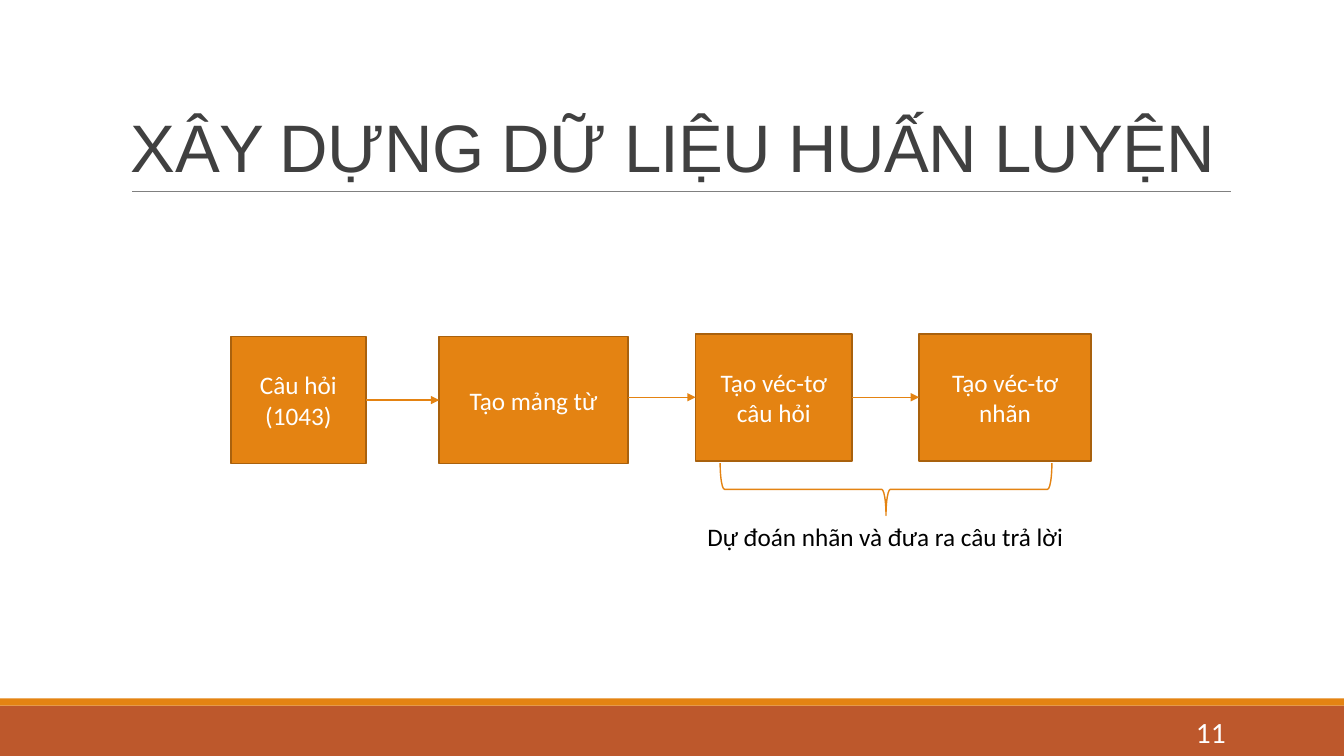
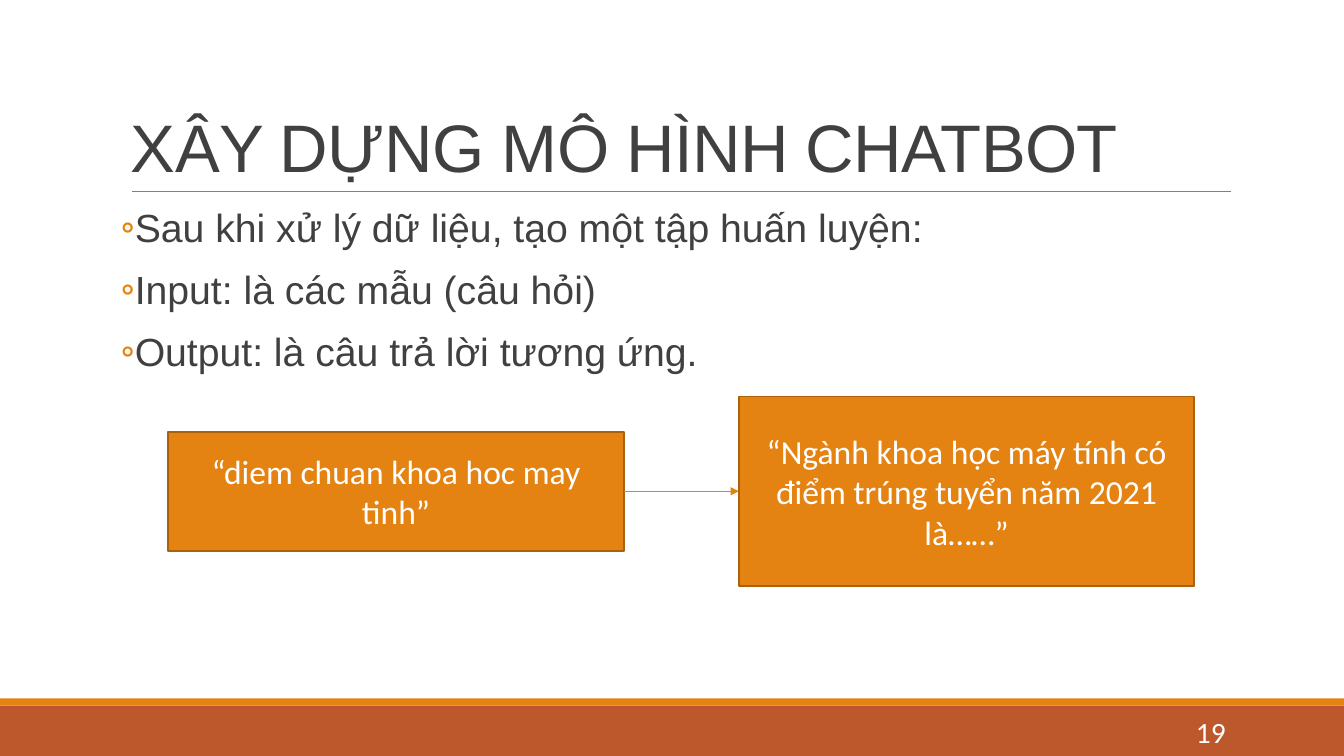
from lxml import etree
from pptx import Presentation
from pptx import util as u
from pptx.dml.color import RGBColor
from pptx.enum import shapes, text
from pptx.oxml import ns

Cm, Pt = u.Cm, u.Pt
ALIGN, ANCHOR = text.PP_ALIGN, text.MSO_ANCHOR


def color(value):
    return RGBColor.from_string(value)


def add_xml(parent, tag, **attributes):
    return etree.SubElement(parent, ns.qn(tag), attributes)


def write(frame, lines, size=18, font="Calibri", ink="000000", align=ALIGN.LEFT,
          anchor=ANCHOR.TOP, leading=None, before=0, after=0, spacing=None,
          bullet=None, bullet_ink=None, inset=0.25):
    frame.word_wrap = True
    frame.auto_size = text.MSO_AUTO_SIZE.NONE
    frame.vertical_anchor = anchor
    frame.margin_left = frame.margin_right = Cm(inset)
    for number, line in enumerate(lines):
        paragraph = frame.add_paragraph() if number else frame.paragraphs[0]
        paragraph.alignment = align
        if leading:
            paragraph.line_spacing = leading
        paragraph.space_before = Pt(before if number else 0)
        paragraph.space_after = Pt(after)
        if bullet:
            properties = paragraph._p.get_or_add_pPr()
            properties.set("marL", str(Cm(0.25)))
            properties.set("indent", str(-Cm(0.51)))
            add_xml(add_xml(properties, "a:buClr"), "a:srgbClr", val=bullet_ink)
            add_xml(properties, "a:buFont", typeface="Calibri")
            add_xml(properties, "a:buChar", char=bullet)
        run = paragraph.add_run()
        run.text = line
        run.font.name = font
        run.font.size = Pt(size)
        run.font.color.rgb = color(ink)
        if spacing is not None:
            run._r.get_or_add_rPr().set("spc", str(round(spacing * 100)))


class Deck:
    ACCENT, EDGE, BAND = "E48312", "A9610D", "BD582C"
    INK, RULE, LIGHT = "404040", "808080", "FFFFFF"
    WIDTH, HEIGHT = 33.87, 19.05

    def __init__(self):
        self.presentation = Presentation()
        self.presentation.slide_width = Cm(self.WIDTH)
        self.presentation.slide_height = Cm(self.HEIGHT)
        self.slide = None

    def new_slide(self, heading, page):
        self.slide = self.presentation.slides.add_slide(self.presentation.slide_layouts[5])
        title = self.slide.shapes.title
        title.left, title.top = Cm(3.05), Cm(0.79)
        title.width, title.height = Cm(27.94), Cm(4.04)
        write(title.text_frame, [heading], size=48, font="Arial", ink=self.INK,
              anchor=ANCHOR.BOTTOM, leading=0.85, spacing=-0.5)
        self.shape(0, 17.78, self.WIDTH, 1.27, fill=self.BAND)
        self.shape(0, 17.6, self.WIDTH, 0.18, fill=self.ACCENT)
        self.line((3.33, 4.83), (31.01, 4.83), self.RULE, 0.5)
        self.label([page], 27.51, 17.93, 3.63, 1.02, size=21, ink=self.LIGHT,
                   align=ALIGN.RIGHT, anchor=ANCHOR.MIDDLE)

    def shape(self, left, top, width, height, fill=None, edge=None, weight=1.25,
              kind=shapes.MSO_SHAPE.RECTANGLE):
        item = self.slide.shapes.add_shape(kind, Cm(left), Cm(top), Cm(width), Cm(height))
        item.shadow.inherit = False
        if fill:
            item.fill.solid()
            item.fill.fore_color.rgb = color(fill)
        else:
            item.fill.background()
        if edge:
            item.line.color.rgb = color(edge)
            item.line.width = Pt(weight)
        else:
            item.line.fill.background()
        return item

    def step(self, lines, left, top, width, height, size=18):
        item = self.shape(left, top, width, height, self.ACCENT, self.EDGE)
        write(item.text_frame, lines, size=size, ink=self.LIGHT,
              align=ALIGN.CENTER, anchor=ANCHOR.MIDDLE)
        return item

    def brace(self, left, top, width, height):
        self.shape(left, top, width, height, edge=self.ACCENT, weight=1,
                   kind=shapes.MSO_SHAPE.LEFT_BRACE).rotation = 270

    def label(self, lines, left, top, width, height, **style):
        box = self.slide.shapes.add_textbox(Cm(left), Cm(top), Cm(width), Cm(height))
        write(box.text_frame, lines, **style)

    def bullets(self, lines, left, top, width, height):
        self.label(lines, left, top, width, height, size=28, font="Arial", ink=self.INK,
                   leading=0.9, before=12, after=2, bullet="◦",
                   bullet_ink=self.ACCENT, inset=0)

    def line(self, start, end, ink, weight):
        connector = self.slide.shapes.add_connector(
            shapes.MSO_CONNECTOR.STRAIGHT, *map(Cm, start + end))
        connector.line.color.rgb = color(ink)
        connector.line.width = Pt(weight)
        add_xml(connector._element.spPr, "a:effectLst")
        return connector

    def arrow(self, source, target, start=None):
        connector = self.line(start or (0, 0), (0, 0), self.ACCENT, 1)
        if start is None:
            connector.begin_connect(source, 3)
        connector.end_connect(target, 1)
        add_xml(connector.line._get_or_add_ln(), "a:tailEnd", type="triangle")


def training_data(deck):
    deck.new_slide("XÂY DỰNG DỮ LIỆU HUẤN LUYỆN", "11")
    height = 3.2
    questions = deck.step(["Câu hỏi", "(1043)"], 5.82, 8.48, 3.4, height)
    words = deck.step(["Tạo mảng từ"], 11.07, 8.48, 4.75, height)
    question_vector = deck.step(["Tạo véc-tơ câu hỏi"], 17.53, 8.41, 3.94, height)
    label_vector = deck.step(["Tạo véc-tơ nhãn"], 23.16, 8.41, 4.34, height)
    deck.arrow(questions, words)
    deck.arrow(words, question_vector, start=(15.82, 10.01))
    deck.arrow(question_vector, label_vector)
    deck.brace(21.67, 8.15, 1.32, 8.36)
    deck.label(["Dự đoán nhãn và đưa ra câu trả lời"], 17.32, 13, 9.98, 1.02,
               align=ALIGN.CENTER)


def chatbot_model(deck):
    deck.new_slide("XÂY DỰNG MÔ HÌNH CHATBOT", "19")
    deck.bullets(["Sau khi xử lý dữ liệu, tạo một tập huấn luyện:",
                  "Input: là các mẫu (câu hỏi)",
                  "Output: là câu trả lời tương ứng."], 3.05, 5.13, 27.94, 11.18)
    question = deck.step(["“diem chuan khoa hoc may tinh”"],
                         4.24, 10.88, 11.48, 3, size=24)
    answer = deck.step(["“Ngành khoa học máy tính có điểm trúng tuyển năm 2021 là……”"],
                       18.62, 9.99, 11.48, 4.78, size=24)
    deck.arrow(question, answer)


def main():
    deck = Deck()
    training_data(deck)
    chatbot_model(deck)
    deck.presentation.save("out.pptx")


if __name__ == "__main__":
    main()
